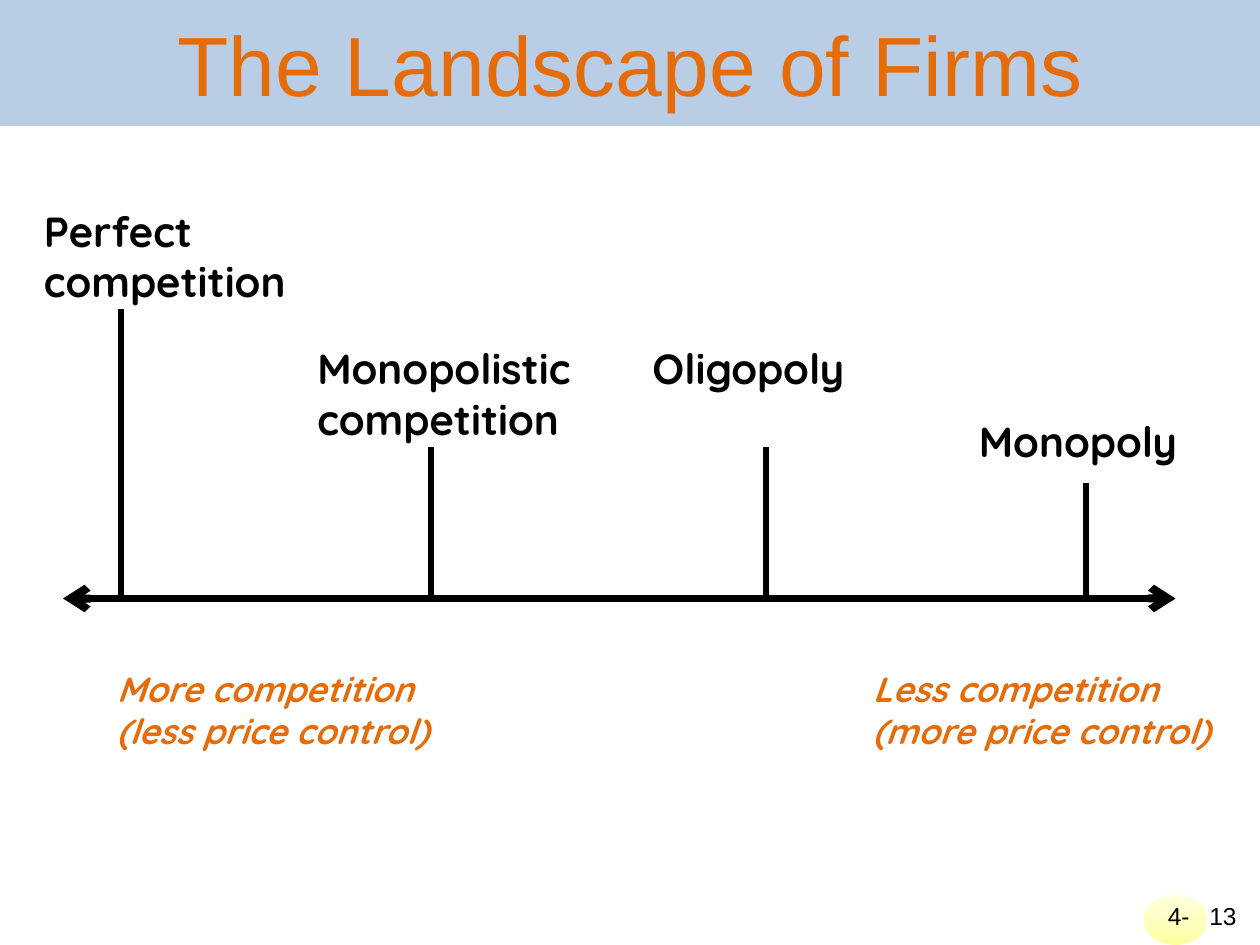
from lxml.etree import SubElement
from pptx import Presentation
from pptx.dml.color import RGBColor
from pptx.enum.shapes import MSO_CONNECTOR, MSO_SHAPE
from pptx.enum.text import MSO_ANCHOR, MSO_AUTO_SIZE, PP_ALIGN
from pptx.oxml.ns import qn
from pptx.util import Inches, Pt

BLACK, ORANGE = "000000", "E46C0A"
AXIS_Y = 4.75

deck = Presentation()
deck.slide_width, deck.slide_height = Inches(10), Inches(7.5)
slide = deck.slides.add_slide(deck.slide_layouts[5])
shapes = slide.shapes


def write(frame, lines, size, font, color, bold=None, italic=None):
    """Fill a text frame with one paragraph per line."""
    frame.word_wrap = True
    for i, line in enumerate(lines):
        paragraph = frame.add_paragraph() if i else frame.paragraphs[0]
        run = paragraph.add_run()
        run.text = line
        run.font.size, run.font.name = Pt(size), font
        run.font.bold, run.font.italic = bold, italic
        run.font.color.rgb = RGBColor.from_string(color)


def draw_line(x1, y1, x2, y2, width):
    line = shapes.add_connector(MSO_CONNECTOR.STRAIGHT, *map(Inches, (x1, y1, x2, y2)))
    line.line.color.rgb = RGBColor.from_string(BLACK)
    line.line.width = Pt(width)
    SubElement(line._element.spPr, qn("a:effectLst"))
    return line


# Page number
badge = shapes.add_shape(MSO_SHAPE.OVAL, *map(Inches, (9.08, 7.1, 0.5, 0.4)))
badge.shadow.inherit = False
badge.line.fill.background()
badge.fill.gradient()
badge.fill.gradient_angle = 90
for stop, (position, color) in zip(badge.fill.gradient_stops, [(0, "FFFFA0"), (1, "FFFFE3")]):
    stop.position = position
    stop.color.rgb = RGBColor.from_string(color)
for label, left, width in [("4-", 9.17, 0.42), ("13", 9.5, 0.5)]:
    number = shapes.add_textbox(*map(Inches, (left, 7.1, width, 0.4)))
    write(number.text_frame, [label], 14, "Arial", BLACK)

# Title band
title = shapes.title
title.left, title.top, title.width, title.height = 0, 0, deck.slide_width, Inches(1)
title.fill.solid()
title.fill.fore_color.rgb = RGBColor.from_string("B9CDE5")
write(title.text_frame, ["The Landscape of Firms"], 48, "Arial", ORANGE)
title.text_frame.auto_size = MSO_AUTO_SIZE.NONE
title.text_frame.vertical_anchor = MSO_ANCHOR.MIDDLE
title.text_frame.paragraphs[0].alignment = PP_ALIGN.CENTER

# Competition axis
axis = draw_line(0.5, AXIS_Y, 9.33, AXIS_Y, 4.5)
for end in ("a:headEnd", "a:tailEnd"):
    SubElement(axis.line._get_or_add_ln(), qn(end), type="arrow")

# Market structures: name, label left, top, width, height, tick x, tick top
markets = [
    ("Perfect competition", 0.25, 1.58, 2.42, 0.91, 0.96, 2.45),
    ("Monopolistic competition", 2.42, 2.67, 2.67, 0.91, 3.42, 3.55),
    ("Oligopoly", 5.08, 2.67, 2.67, 0.5, 6.08, 3.55),
    ("Monopoly", 7.67, 3.25, 1.92, 0.5, 8.62, 3.83),
]
for name, left, top, width, height, tick_x, tick_top in markets:
    market = shapes.add_textbox(*map(Inches, (left, top, width, height)))
    write(market.text_frame, [name], 24, "Quicksand", BLACK, bold=True)
    draw_line(tick_x, AXIS_Y, tick_x, tick_top, 3)

# Meaning of the two ends, in two columns set by a tab stop
ends = shapes.add_textbox(*map(Inches, (0.83, 5.25, 9.08, 0.77)))
write(ends.text_frame,
      ["More competition\tLess competition", "(less price control)\t(more price control)"],
      20, "Quicksand", ORANGE, bold=True, italic=True)
for paragraph in ends.text_frame.paragraphs:
    tabs = SubElement(paragraph._p.get_or_add_pPr(), qn("a:tabLst"))
    SubElement(tabs, qn("a:tab"), pos=str(Inches(6)), algn="l")

deck.save("out.pptx")
